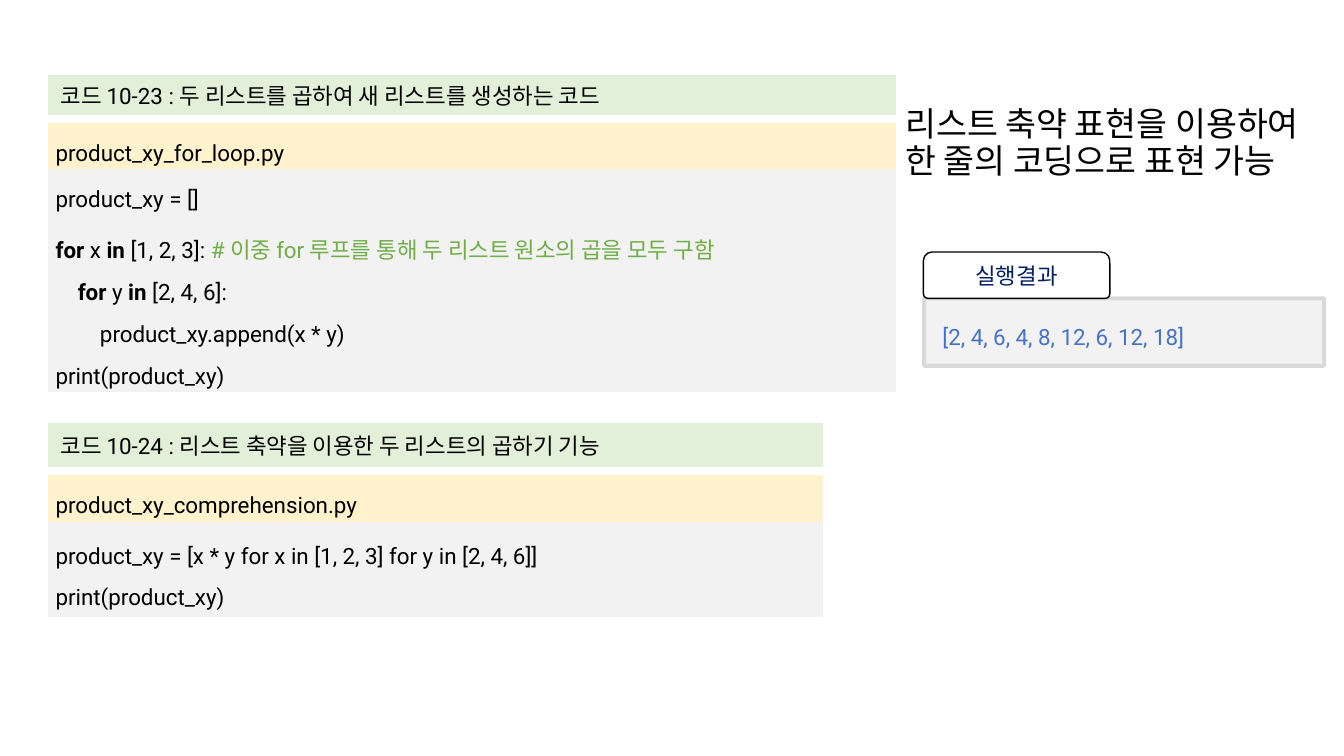
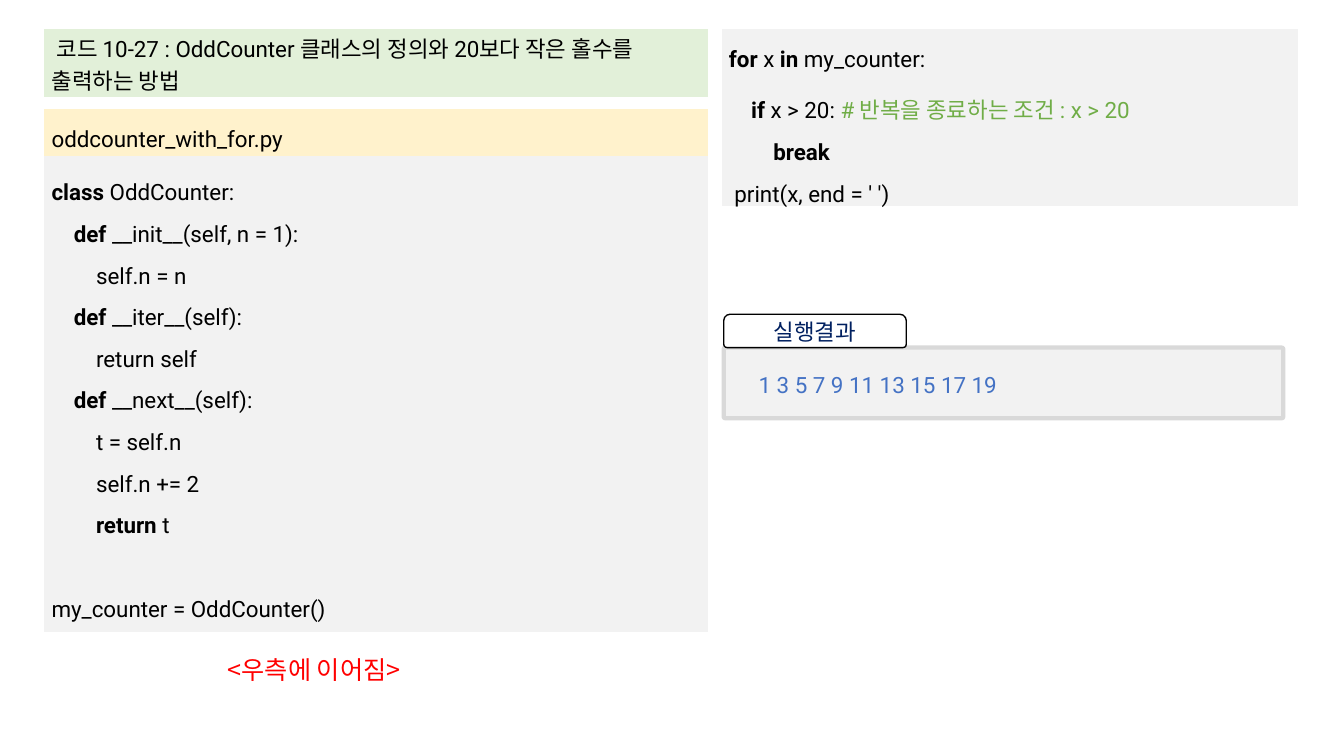
from dataclasses import dataclass
from typing import Optional

from lxml.etree import SubElement
from pptx import Presentation
from pptx.dml.color import RGBColor
from pptx.enum.shapes import MSO_SHAPE
from pptx.enum.text import MSO_ANCHOR, MSO_AUTO_SIZE, PP_ALIGN
from pptx.oxml.ns import qn
from pptx.util import Cm, Pt


@dataclass(frozen=True)
class Theme:
    latin: str = "Roboto"
    korean: str = "Noto Sans CJK KR"
    ink: str = "000000"
    comment: str = "70AD47"
    caption: str = "002060"
    output: str = "4472C4"
    alert: str = "FF0000"
    title_band: str = "E2F0D9"
    file_band: str = "FFF2CC"
    code_band: str = "F2F2F2"
    panel_line: str = "D9D9D9"
    white: str = "FFFFFF"
    code_size: int = 16
    note_size: int = 18
    body_size: int = 24
    code_spacing: float = 1.6
    indent: float = 0.56
    table_style: str = "{2D5ABB26-0587-4C30-8999-92F81FD0307C}"


THEME = Theme()


@dataclass(frozen=True)
class Area:
    left: float
    top: float
    width: float
    height: float

    def lengths(self) -> tuple:
        return Cm(self.left), Cm(self.top), Cm(self.width), Cm(self.height)


@dataclass(frozen=True)
class CodeLine:
    text: str
    level: int = 0
    before: int = 0


@dataclass(frozen=True)
class Band:
    height: float
    lines: tuple = ()
    fill: Optional[str] = None
    spacing: Optional[float] = None


@dataclass(frozen=True)
class Listing:
    left: float
    top: float
    width: float
    bands: tuple


@dataclass(frozen=True)
class Result:
    tab: Area
    panel: Area
    output: Area
    text: str


def add_text(para, text: str, *, size: int = THEME.code_size, color: str = THEME.ink,
             font: str = THEME.latin, bold: bool = False) -> None:
    span = para.add_run()
    span.text = text
    span.font.size = Pt(size)
    span.font.bold = bold
    span.font.color.rgb = RGBColor.from_string(color)
    span.font.name = font
    SubElement(span._r.get_or_add_rPr(), qn("a:ea"), typeface=THEME.korean)


def add_code(para, line: CodeLine) -> None:
    code, mark, comment = line.text.partition("# ")
    for index, part in enumerate(code.split("`")):
        if part:
            add_text(para, part, bold=index % 2 == 1)
    if mark:
        add_text(para, mark + comment, color=THEME.comment)
    if line.level:
        para._p.get_or_add_pPr().set("marL", str(Cm(line.level * THEME.indent)))
    if line.before:
        para.space_before = Pt(line.before)


def fill_cell(cell, band: Band) -> None:
    cell.margin_left = cell.margin_right = Cm(0.18)
    cell.margin_top = cell.margin_bottom = Cm(0.05 if band.lines else 0)
    cell.vertical_anchor = MSO_ANCHOR.MIDDLE
    frame = cell.text_frame
    if not band.lines:
        cell.fill.background()
        SubElement(frame.paragraphs[0]._p, qn("a:endParaRPr"), sz="100")
        return
    cell.fill.solid()
    cell.fill.fore_color.rgb = RGBColor.from_string(band.fill)
    for index, line in enumerate(band.lines):
        para = frame.add_paragraph() if index else frame.paragraphs[0]
        if band.spacing:
            para.alignment = PP_ALIGN.JUSTIFY
            para.line_spacing = band.spacing
        add_code(para, line)


def add_listing(page, listing: Listing) -> None:
    total = sum(band.height for band in listing.bands)
    area = Area(listing.left, listing.top, listing.width, total)
    table = page.shapes.add_table(len(listing.bands), 1, *area.lengths()).table
    table.first_row = table.horz_banding = False
    table._tbl.tblPr.find(qn("a:tableStyleId")).text = THEME.table_style
    for row, band in zip(table.rows, listing.bands):
        row.height = Cm(band.height)
        fill_cell(row.cells[0], band)


def add_box(page, kind: MSO_SHAPE, area: Area, *, fill: str, line: str, weight: float,
            corners: tuple):
    box = page.shapes.add_shape(kind, *area.lengths())
    box.shadow.inherit = False
    box.fill.solid()
    box.fill.fore_color.rgb = RGBColor.from_string(fill)
    box.line.color.rgb = RGBColor.from_string(line)
    box.line.width = Pt(weight)
    for index, corner in enumerate(corners):
        box.adjustments[index] = corner
    return box


def add_label(page, area: Area, text: str, *, wrap: bool = True,
              spacing: Optional[float] = None, **text_format) -> None:
    frame = page.shapes.add_textbox(*area.lengths()).text_frame
    frame.word_wrap = wrap
    para = frame.paragraphs[0]
    para.line_spacing = spacing
    add_text(para, text, **text_format)


def add_result(page, result: Result) -> None:
    add_box(page, MSO_SHAPE.ROUNDED_RECTANGLE, result.panel, fill=THEME.code_band,
            line=THEME.panel_line, weight=3, corners=(0.02,))
    tab = add_box(page, MSO_SHAPE.ROUND_2_SAME_RECTANGLE, result.tab, fill=THEME.white,
                  line=THEME.ink, weight=1, corners=(0.19, 0.1))
    tab.text_frame.vertical_anchor = MSO_ANCHOR.MIDDLE
    para = tab.text_frame.paragraphs[0]
    para.alignment = PP_ALIGN.CENTER
    add_text(para, "실행결과", font=THEME.korean, color=THEME.caption)
    add_label(page, result.output, result.text, spacing=1.5, color=THEME.output)


def add_body(page, area: Area, lines: tuple) -> None:
    title = page.shapes.title
    title._element.getparent().remove(title._element)
    body = page.placeholders[1]
    body.left, body.top, body.width, body.height = area.lengths()
    frame = body.text_frame
    frame.auto_size = MSO_AUTO_SIZE.NONE
    frame.vertical_anchor = MSO_ANCHOR.TOP
    for index, line in enumerate(lines):
        para = frame.add_paragraph() if index else frame.paragraphs[0]
        para.line_spacing = 0.9
        para.space_before = Pt(0)
        properties = para._p.get_or_add_pPr()
        properties.set("marL", str(Cm(1.27)))
        properties.set("indent", "0")
        SubElement(properties, qn("a:buNone"))
        add_text(para, line, size=THEME.body_size, font=THEME.korean)


def code_bands(title: str, file_name: str, code: tuple, heights: tuple) -> tuple:
    title_height, gap, file_height, code_height = heights
    return (
        Band(title_height, (CodeLine(title),), THEME.title_band),
        Band(gap),
        Band(file_height, (CodeLine(file_name),), THEME.file_band, THEME.code_spacing),
        Band(code_height, code, THEME.code_band, THEME.code_spacing),
    )


LOOP_CODE = (
    CodeLine("product_xy = []"),
    CodeLine("`for` x `in` [1, 2, 3]: # 이중 for 루프를 통해 두 리스트 원소의 곱을 모두 구함"),
    CodeLine("`for` y `in` [2, 4, 6]:", 1),
    CodeLine("product_xy.append(x * y)", 2),
    CodeLine("print(product_xy)"),
)
COMPREHENSION_CODE = (
    CodeLine("product_xy = [x * y for x in [1, 2, 3] for y in [2, 4, 6]]"),
    CodeLine("print(product_xy)"),
)
COUNTER_CODE = (
    CodeLine("`class `OddCounter:"),
    CodeLine("`def` __init__(self, n = 1):", 1),
    CodeLine("self.n = n", 2),
    CodeLine("`def` __iter__(self):", 1),
    CodeLine("return self", 2),
    CodeLine("`def` __next__(self):", 1),
    CodeLine("t = self.n", 2),
    CodeLine("self.n += 2", 2),
    CodeLine("`return` t", 2),
    CodeLine("my_counter = OddCounter()", before=30),
)
USAGE_CODE = (
    CodeLine("`for` x `in `my_counter:"),
    CodeLine("`if` x > 20: # 반복을 종료하는 조건 : x > 20", 1),
    CodeLine("`break`", 2),
    CodeLine(" print(x, end = ' ')"),
)


def build_product_page(deck) -> None:
    page = deck.slides.add_slide(deck.slide_layouts[1])
    add_listing(page, Listing(1.22, 1.88, 21.36, code_bands(
        " 코드 10-23 : 두 리스트를 곱하여 새 리스트를 생성하는 코드",
        "product_xy_for_loop.py", LOOP_CODE, (1.02, 0.2, 1.17, 5.56))))
    add_result(page, Result(
        Area(23.27, 6.35, 4.7, 1.17), Area(23.29, 7.52, 10.08, 1.7),
        Area(23.5, 7.67, 8.97, 1.27), "[2, 4, 6, 4, 8, 12, 6, 12, 18]"))
    add_listing(page, Listing(1.22, 10.67, 19.51, code_bands(
        " 코드 10-24 : 리스트 축약을 이용한 두 리스트의 곱하기 기능",
        "product_xy_comprehension.py", COMPREHENSION_CODE, (1.09, 0.2, 1.19, 2.41))))
    add_body(page, Area(21.29, 2.59, 12.5, 2.51),
             ("리스트 축약 표현을 이용하여", "한 줄의 코딩으로 표현 가능"))


def build_counter_page(deck) -> None:
    page = deck.slides.add_slide(deck.slide_layouts[6])
    add_listing(page, Listing(1.12, 0.74, 16.71, code_bands(
        " 코드 10-27 : OddCounter 클래스의 정의와 20보다 작은 홀수를 출력하는 방법",
        "oddcounter_with_for.py", COUNTER_CODE, (1.7, 0.3, 1.17, 11.71))))
    add_result(page, Result(
        Area(18.24, 7.92, 4.6, 0.84), Area(18.24, 8.76, 14.1, 1.78),
        Area(18.87, 8.89, 12.29, 1.27), "1 3 5 7 9 11 13 15 17 19"))
    add_listing(page, Listing(18.19, 0.74, 14.53, (
        Band(4.45, USAGE_CODE, THEME.code_band, THEME.code_spacing),)))
    add_label(page, Area(5.49, 16.36, 5.49, 1.02), "<우측에 이어짐>", wrap=False,
              size=THEME.note_size, font=THEME.korean, color=THEME.alert)


def main() -> None:
    deck = Presentation()
    deck.slide_width, deck.slide_height = Cm(33.87), Cm(19.05)
    build_product_page(deck)
    build_counter_page(deck)
    deck.save("out.pptx")


if __name__ == "__main__":
    main()
